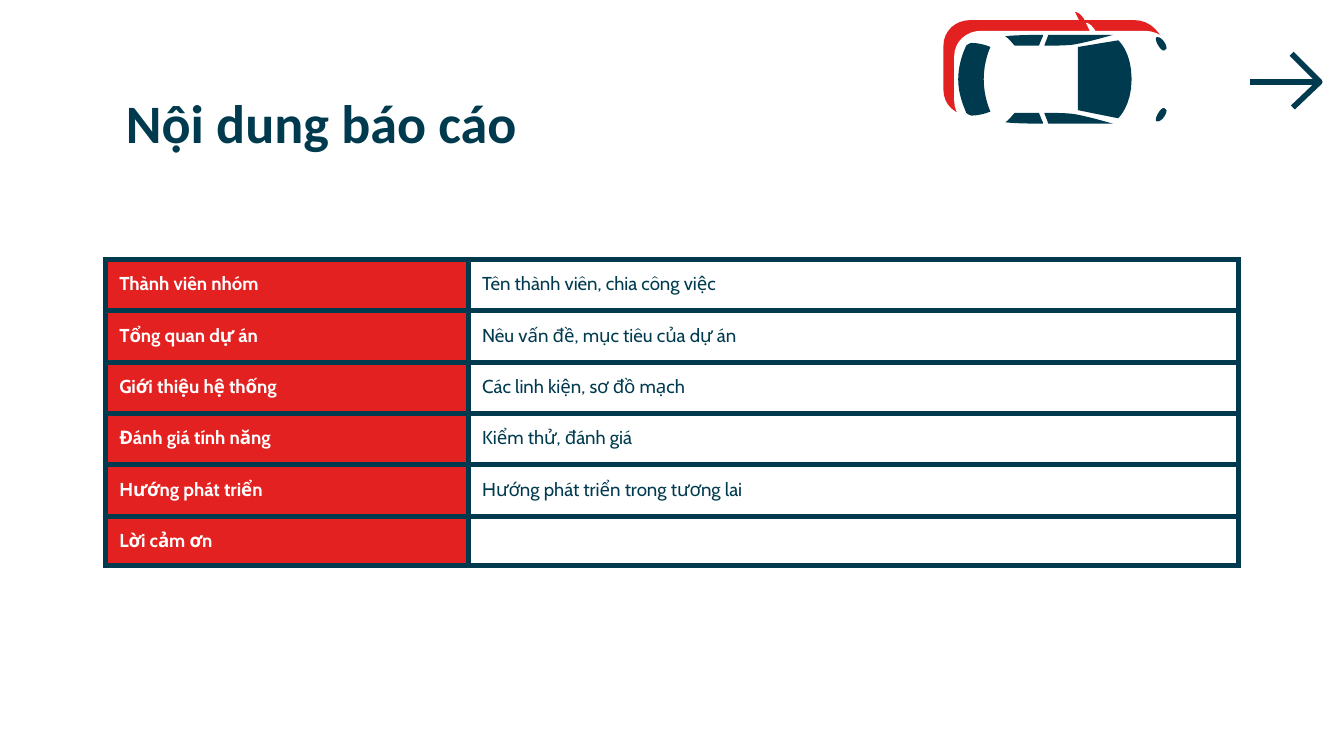
from lxml.etree import SubElement
from pptx import Presentation
from pptx.dml.color import RGBColor
from pptx.enum.shapes import MSO_CONNECTOR
from pptx.enum.text import MSO_ANCHOR, MSO_AUTO_SIZE, PP_ALIGN
from pptx.oxml import parse_xml
from pptx.oxml.ns import nsdecls, qn
from pptx.util import Pt

HUES = {"navy": "003A4E", "red": "E42121", "white": "FFFFFF"}
TITLE = "Nội dung báo cáo"
ROWS = [
    ("Thành viên nhóm", "Tên thành viên, chia công việc"),
    ("Tổng quan dự án", "Nêu vấn đề, mục tiêu của dự án"),
    ("Giới thiệu hệ thống", "Các linh kiện, sơ đồ mạch"),
    ("Đánh giá tính năng", "Kiểm thử, đánh giá"),
    ("Hướng phát triển", "Hướng phát triển trong tương lai"),
    ("Lời cảm ơn", ""),
]
COLS = (194.4, 412.6)
HIGH = (27.5,) * 5 + (22.5,)

# Car outlines in hundredths of an inch: M start, L line, C cubic curve
UNIT = 0.72
AXIS = 59
BODY = """M 866 64 C 866 77 856 86 844 86 L 807 86 C 806 88 803 92 800 92
L 803 86 L 722 86 C 711 86 702 78 702 67 L 702 34 C 702 23 711 15 722 15
L 803 15 L 800 9 C 803 9 806 13 807 15 L 844 15 C 856 15 866 25 866 37"""
SIDE = {
    "front": """M 828 26 C 828 26 811 31 800 33 C 794 34 786 34 777 34
C 778 31 779 29 780 26""",
    "rear": """M 776 26 C 776 26 776 27 776 27 C 775 29 774 32 773 34
L 755 34 C 753 32 751 29 748 27 C 757 26 768 26 776 26""",
    "lamp": """M 868 36 C 868 36 867 37 867 37 C 865 40 860 32 860 29
C 860 29 860 28 860 28 C 863 26 868 32 868 36""",
}
GLASS = {
    "front": """M 842 59 C 842 79 832 88 832 88 L 802 82 L 802 35 L 832 30
C 832 30 842 38 842 59""",
    "rear": """M 737 83 C 732 85 727 86 723 86 C 722 86 720 85 719 84
C 717 79 713 70 713 59 C 713 48 717 38 719 34 C 720 33 722 32 723 32
C 727 32 732 33 737 35 C 737 35 732 45 732 59 C 732 73 737 83 737 83""",
}


def tint(name):
    return RGBColor.from_string(HUES[name])


def put(frame, text, size=10, font="Cabin", hue="navy", bold=False):
    para = frame.paragraphs[0]
    para.alignment = PP_ALIGN.LEFT
    if not text:
        para._p.get_or_add_endParaRPr().set("sz", str(size * 100))
        return
    run = para.add_run()
    run.text = text
    face = run.font
    face.size, face.name, face.bold = Pt(size), font, bold
    face.color.rgb = tint(hue)


def trace(path, steps=8):
    """Turn a path string into points, with each curve cut into short lines."""
    words = path.split()
    dots = []
    while words:
        count = 6 if words.pop(0) == "C" else 2
        nums = [float(word) for word in words[:count]]
        del words[:count]
        pairs = list(zip(nums[::2], nums[1::2]))
        if count == 2:
            dots += pairs
            continue
        curve = [dots[-1]] + pairs
        for step in range(1, steps + 1):
            t = step / steps
            mix = ((1 - t) ** 3, 3 * t * (1 - t) ** 2, 3 * t * t * (1 - t), t ** 3)
            dots.append(tuple(sum(m * p[i] for m, p in zip(mix, curve)) for i in (0, 1)))
    return dots


def draw(group, dots, close=True):
    spots = [(Pt(x * UNIT), Pt(y * UNIT)) for x, y in dots]
    pen = group.shapes.build_freeform(*spots[0])
    pen.add_line_segments(spots[1:], close=close)
    shape = pen.convert_to_shape()
    shape.shadow.inherit = False
    return shape


def panel(group, dots, hue):
    shape = draw(group, dots)
    shape.fill.solid()
    shape.fill.fore_color.rgb = tint(hue)
    shape.line.fill.background()


def stroke(shape):
    shape.line.color.rgb = tint("navy")
    shape.line.width = Pt(3)


def edge(cell):
    props = cell._tc.get_or_add_tcPr()
    for spot, side in enumerate("LRTB"):
        props.insert(spot, parse_xml(
            f'<a:ln{side} {nsdecls("a")} w="{Pt(3)}"><a:solidFill>'
            f'<a:srgbClr val="{HUES["navy"]}"/></a:solidFill></a:ln{side}>'))


deck = Presentation()
deck.slide_width, deck.slide_height = Pt(720), Pt(405)
slide = deck.slides.add_slide(deck.slide_layouts[5])

title = slide.shapes.title
title.left, title.top, title.width, title.height = Pt(56.7), Pt(42.5), Pt(607), Pt(45.4)
frame = title.text_frame
frame.auto_size, frame.word_wrap = MSO_AUTO_SIZE.NONE, True
frame.vertical_anchor = MSO_ANCHOR.MIDDLE
frame.margin_left = Pt(10.8)
frame.margin_right = frame.margin_top = frame.margin_bottom = Pt(7.2)
put(frame, TITLE, size=29, font="Calibri", bold=True)

table = slide.shapes.add_table(
    len(ROWS), len(COLS), Pt(56.7), Pt(139), Pt(sum(COLS)), Pt(sum(HIGH))).table
table.first_row = table.horz_banding = False
for col, width in zip(table.columns, COLS):
    col.width = Pt(width)
for row, high, texts in zip(table.rows, HIGH, ROWS):
    row.height = Pt(high)
    for spot, (cell, text) in enumerate(zip(row.cells, texts)):
        head = spot == 0
        cell.margin_left = cell.margin_right = Pt(7.2)
        cell.margin_top = cell.margin_bottom = Pt(7.2)
        if head:
            cell.fill.solid()
            cell.fill.fore_color.rgb = tint("red")
        else:
            cell.fill.background()
        edge(cell)
        put(cell.text_frame, text, hue="white" if head else "navy", bold=head)

car = slide.shapes.add_group_shape()
for hue, shift in (("red", 0), ("white", 8)):
    panel(car, [(x + shift, y + shift) for x, y in trace(BODY)], hue)
for path in SIDE.values():
    dots = trace(path)
    panel(car, dots, "navy")
    panel(car, [(x, 2 * AXIS - y) for x, y in dots], "navy")
for path in GLASS.values():
    panel(car, trace(path), "navy")

arrow = slide.shapes.add_group_shape()
shaft = arrow.shapes.add_connector(
    MSO_CONNECTOR.STRAIGHT, Pt(669.6), Pt(43.9), Pt(705), Pt(43.9))
SubElement(shaft._element.spPr, qn("a:effectLst"))
stroke(shaft)
tip = draw(arrow, [(961, 40), (982, 61), (962, 80)], close=False)
tip.fill.background()
stroke(tip)

deck.save("out.pptx")
